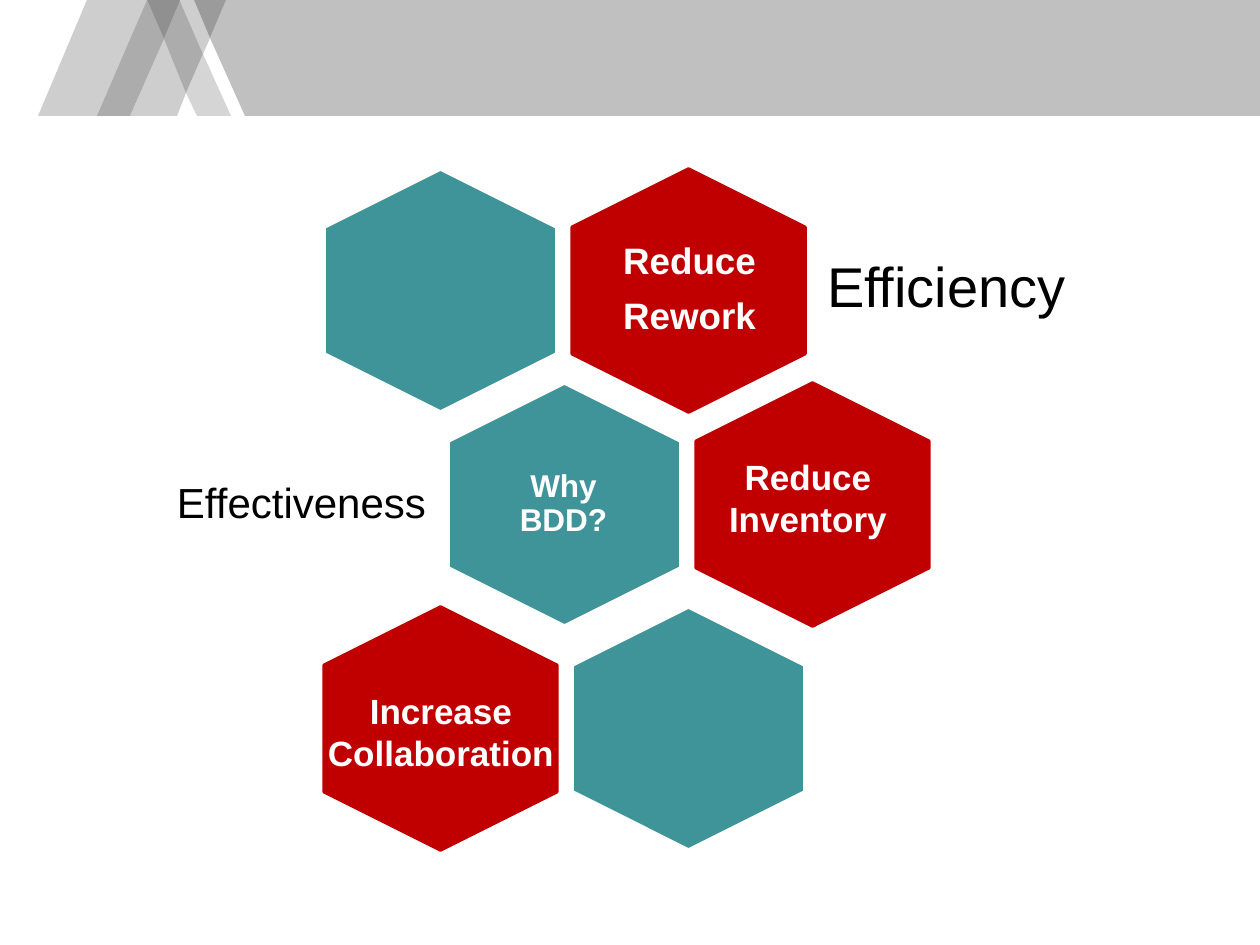
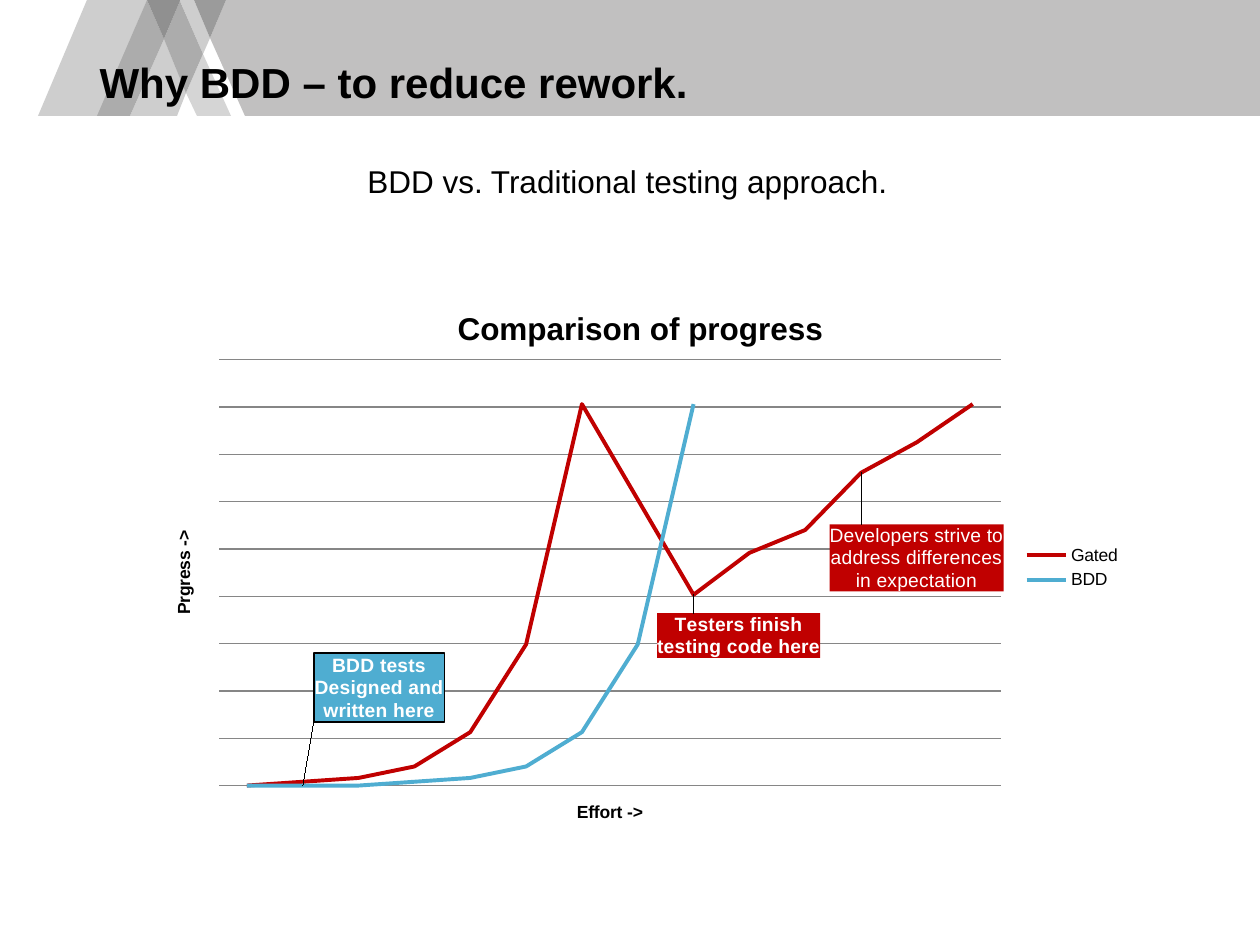
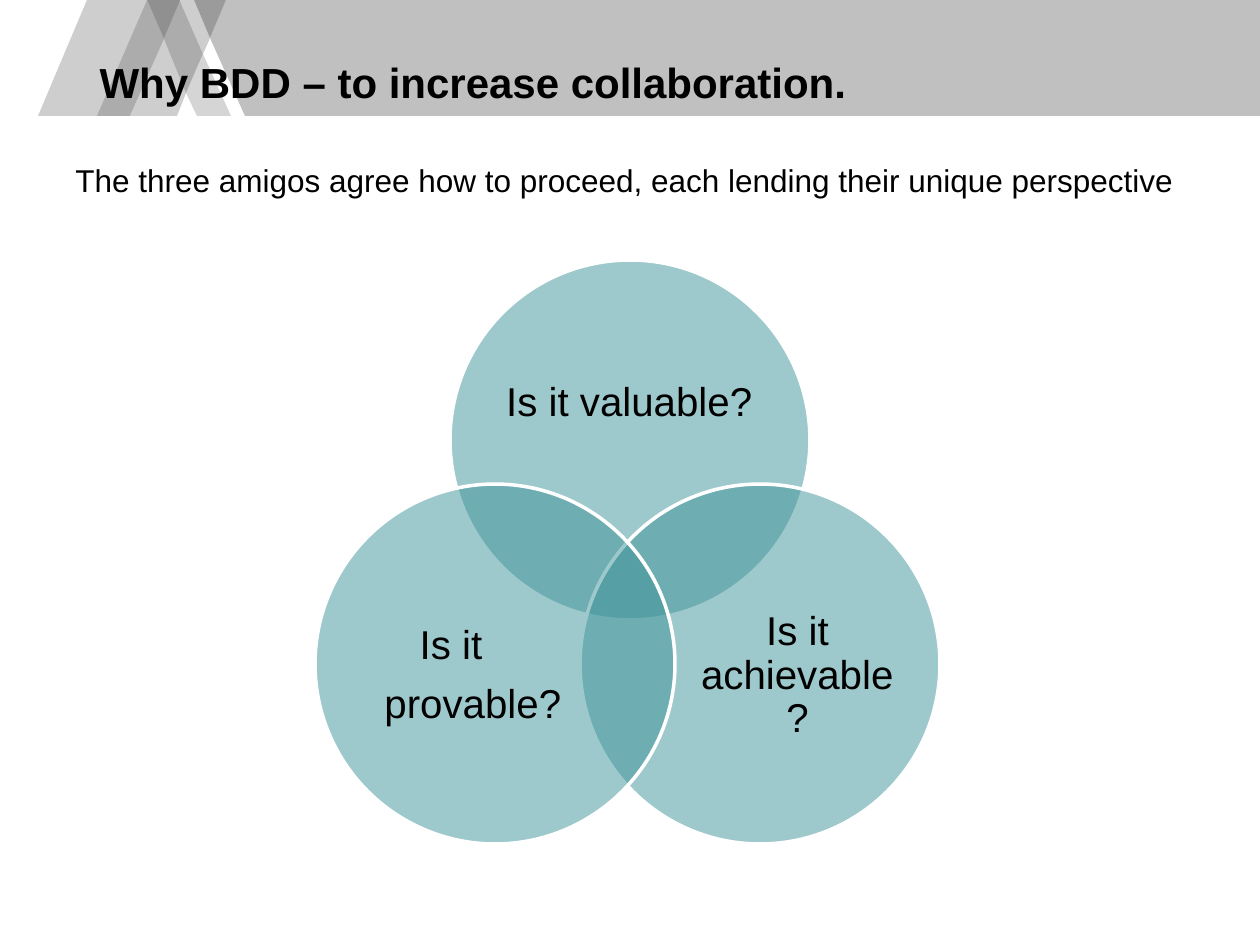
from pptx import Presentation
from pptx.chart.data import CategoryChartData
from pptx.dml.color import RGBColor
from pptx.enum.chart import XL_CHART_TYPE, XL_LABEL_POSITION, XL_LEGEND_POSITION
from pptx.enum.shapes import MSO_SHAPE
from pptx.enum.text import MSO_ANCHOR, PP_ALIGN
from pptx.oxml import parse_xml
from pptx.oxml.ns import nsdecls, qn
from pptx.util import Emu, Pt

SCALE = 914400 / 126
TEAL = RGBColor(0x3F, 0x94, 0x9A)
RED = RGBColor(0xC0, 0x00, 0x00)
BLUE = RGBColor(0x4F, 0xAD, 0xD1)
WHITE = RGBColor(0xFF, 0xFF, 0xFF)
BLACK = RGBColor(0x00, 0x00, 0x00)
GRID_GREY = RGBColor(0x86, 0x86, 0x86)
BAND_GREY = RGBColor(0xC1, 0xC0, 0xC0)
PALE = RGBColor(0xD5, 0xD5, 0xD5)
LIGHT = RGBColor(0xCE, 0xCE, 0xCE)
MID = RGBColor(0xAC, 0xAC, 0xAC)
DARK = RGBColor(0x9B, 0x9B, 0x9B)
DARKEST = RGBColor(0x90, 0x90, 0x90)

BAND = [
    (BAND_GREY, [(210, 38), (245, 116), (1260, 116), (1260, 0), (226, 0)]),
    (PALE, [(203, 54), (186, 93), (197, 116), (231, 116)]),
    (LIGHT, [(194, 0), (180, 0), (180, 1), (203, 54), (210, 38)]),
    (LIGHT, [(164, 39), (130, 116), (177, 116), (186, 93)]),
    (LIGHT, [(147, 0), (87, 0), (38, 116), (98, 116)]),
    (DARK, [(226, 0), (194, 0), (210, 38)]),
    (MID, [(180, 1), (164, 39), (186, 93), (203, 54)]),
    (MID, [(147, 0), (97, 116), (130, 116), (164, 39)]),
    (DARKEST, [(180, 0), (147, 0), (164, 39), (180, 1)]),
]


def px(*lengths):
    return [Emu(round(length * SCALE)) for length in lengths]


class Deck:
    """Holds the shared style and the slide being built."""

    font = "Arial"

    def __init__(self):
        self.prs = Presentation()
        self.prs.slide_width, self.prs.slide_height = px(1260, 945)
        self.slide = None

    def new_slide(self, title=None):
        layout = self.prs.slide_layouts[5 if title else 6]
        self.slide = self.prs.slides.add_slide(layout)
        if title:
            heading = self.slide.shapes.title
            heading.left, heading.top, heading.width, heading.height = px(87, 50, 1086, 183)
            self.fill_text(heading.text_frame, [title], 24, bold=True)

    def master_band(self):
        tree = self.prs.slide_master.shapes._spTree
        for order, (color, points) in enumerate(BAND):
            builder = self.slide.shapes.build_freeform(*points[0], scale=SCALE)
            builder.add_line_segments(points[1:], close=True)
            piece = builder.convert_to_shape()
            self.paint(piece, color)
            piece._element.nvSpPr.cNvPr.set("id", str(100 + order))
            tree.insert(2 + order, piece._element)

    def paint(self, shape, fill, line=None):
        shape.shadow.inherit = False
        shape.fill.solid()
        shape.fill.fore_color.rgb = fill
        if line is None:
            shape.line.fill.background()
        else:
            shape.line.color.rgb = line
            shape.line.width = Pt(2)

    def style(self, font, size, color=BLACK, bold=False):
        for key, value in {"name": self.font, "size": Pt(size), "bold": bold}.items():
            setattr(font, key, value)
        font.color.rgb = color

    def fill_text(self, frame, lines, size, color=BLACK, bold=False, align=PP_ALIGN.LEFT,
                  anchor=MSO_ANCHOR.TOP, inset=None, wrap=True, tight=False):
        frame.text = "\n".join(lines)
        frame.word_wrap = wrap
        frame.vertical_anchor = anchor
        if inset is not None:
            for side in ("left", "top", "right", "bottom"):
                setattr(frame, f"margin_{side}", px(inset)[0])
        for paragraph in frame.paragraphs:
            paragraph.alignment = align
            if tight:
                paragraph.line_spacing = 0.9
                paragraph.space_after = Pt(round(size * 0.4, 1))
            for run in paragraph.runs:
                self.style(run.font, size, color, bold)

    def text(self, box, lines, size, **options):
        frame = self.slide.shapes.add_textbox(*px(*box)).text_frame
        self.fill_text(frame, lines, size, **options)
        return frame

    def diagram_text(self, box, lines, size, **options):
        return self.text(box, lines, size, anchor=MSO_ANCHOR.MIDDLE, tight=True, **options)

    def hexagon(self, column, row_top, fill, line):
        cell = self.slide.shapes.add_shape(
            MSO_SHAPE.HEXAGON, *px(319 + 124 * column, row_top, 243, 233))
        cell.rotation = 90
        cell.adjustments[0] = 0.25
        self.paint(cell, fill, line)

    def circle(self, left, top):
        disc = self.slide.shapes.add_shape(MSO_SHAPE.OVAL, *px(left, top, 360, 360))
        self.paint(disc, TEAL, WHITE)
        color = disc._element.spPr.find(qn("a:solidFill"))[0]
        color.append(parse_xml(f'<a:alpha {nsdecls("a")} val="50000"/>'))

    def line_chart(self, box, title, axis_titles, categories, series):
        data = CategoryChartData()
        data.categories = categories
        for name, _, values in series:
            data.add_series(name, values)
        chart = self.slide.shapes.add_chart(XL_CHART_TYPE.LINE, *px(*box), data).chart
        self.style(chart.font, 10)
        chart.has_title = True
        self.fill_text(chart.chart_title.text_frame, [title], 18, bold=True,
                       align=PP_ALIGN.CENTER)
        chart.chart_title.include_in_layout = False
        chart.has_legend = True
        chart.legend.position = XL_LEGEND_POSITION.RIGHT
        chart.legend.include_in_layout = False
        self.style(chart.legend.font, 10)
        for axis, caption in zip((chart.category_axis, chart.value_axis), axis_titles):
            axis.visible = False
            self.fill_text(axis.axis_title.text_frame, [caption], 10, bold=True,
                           align=PP_ALIGN.CENTER)
        turned = chart.value_axis.axis_title.text_frame._txBody.bodyPr
        for key, value in {"rot": "-5400000", "vert": "horz"}.items():
            turned.set(key, value)
        scale = {"minimum_scale": 0, "maximum_scale": 111.6, "major_unit": 12.4,
                 "has_major_gridlines": True}
        for key, value in scale.items():
            setattr(chart.value_axis, key, value)
        grid = chart.value_axis.major_gridlines.format.line
        grid.color.rgb = GRID_GREY
        grid.width = Pt(0.75)
        plot = chart.plots[0]
        plot.vary_by_categories = False
        for curve, (_, color, _) in zip(plot.series, series):
            curve.smooth = False
            curve.format.line.color.rgb = color
            curve.format.line.width = Pt(2.25)
        self.place_plot(chart, 0.073, 0.134, 0.792, 0.751)
        return plot

    def place_plot(self, chart, x, y, w, h):
        area = chart._chartSpace.chart.plotArea
        for old in area.findall(qn("c:layout")):
            area.remove(old)
        area.insert(0, parse_xml(
            f'<c:layout {nsdecls("c")}><c:manualLayout><c:layoutTarget val="inner"/>'
            f'<c:xMode val="edge"/><c:yMode val="edge"/><c:x val="{x}"/><c:y val="{y}"/>'
            f'<c:w val="{w}"/><c:h val="{h}"/></c:manualLayout></c:layout>'))

    def callout(self, curve, point, lines, offset, fill, bold=True, border=""):
        label = curve.points[point].data_label
        self.fill_text(label.text_frame, lines, 11, WHITE, bold, PP_ALIGN.CENTER)
        label.position = XL_LABEL_POSITION.RIGHT
        element = label._dLbl
        element.find(qn("c:idx")).addnext(parse_xml(
            f'<c:layout {nsdecls("c")}><c:manualLayout><c:x val="{offset[0]}"/>'
            f'<c:y val="{offset[1]}"/></c:manualLayout></c:layout>'))
        element.find(qn("c:tx")).addnext(parse_xml(
            f'<c:spPr {nsdecls("c", "a")}><a:solidFill><a:srgbClr val="{fill}"/>'
            f'</a:solidFill>{border}</c:spPr>'))

    def leader_lines(self, curve):
        curve.data_labels.show_value = False
        c15 = "http://schemas.microsoft.com/office/drawing/2012/chart"
        curve.data_labels._element.append(parse_xml(
            f'<c:extLst {nsdecls("c")}><c:ext uri="{{CE6537A1-D6FC-4f65-9D91-7224C49458BB}}" '
            f'xmlns:c15="{c15}"><c15:showLeaderLines val="1"/></c:ext></c:extLst>'))


deck = Deck()

deck.new_slide()
deck.master_band()
for column, row_top, fill, line in [
    (2, 174, RED, RED), (0, 174, TEAL, WHITE), (1, 388, TEAL, WHITE),
    (3, 388, RED, RED), (2, 612, TEAL, WHITE), (0, 612, RED, RED),
]:
    deck.hexagon(column, row_top, fill, line)
on_cell = {"color": WHITE, "bold": True, "align": PP_ALIGN.CENTER}
deck.diagram_text((611, 208, 157, 164), ["Reduce", "Rework"], 21, inset=11, **on_cell)
deck.diagram_text((811, 210, 296, 159), ["Efficiency"], 32, inset=16)
deck.diagram_text((485, 422, 157, 164), ["Why BDD?"], 18, inset=9, **on_cell)
deck.diagram_text((154, 425, 285, 159), ["Effectiveness"], 24, inset=13, align=PP_ALIGN.RIGHT)
deck.text((315, 683, 252, 97), ["Increase Collaboration"], 20, **on_cell)
deck.text((694, 449, 228, 97), ["Reduce Inventory"], 20, **on_cell)

deck.new_slide("Why BDD – to reduce rework.")
deck.text((355, 156, 551, 50), ["BDD vs. Traditional testing approach."], 18, wrap=False)
progress = deck.line_chart(
    (147, 284, 987, 567), "Comparison of progress", ("Effort ->", "Prgress ->"),
    [str(step) for step in range(1, 15)],
    [("Gated", RED, [0, 1, 2, 5, 14, 37, 100, 75, 50, 61, 67, 82, 90, 100]),
     ("BDD", BLUE, [0, 0, 0, 1, 2, 5, 14, 37, 100] + [None] * 5)])
gated, bdd = progress.series
deck.callout(gated, 8, ["Testers finish testing code here"], (-0.042, 0.072), RED)
deck.callout(gated, 11, ["Developers strive to address differences in expectation"],
             (-0.037, 0.15), RED, bold=False)
deck.callout(bdd, 1, ["BDD tests", "Designed and written here"], (0.006, -0.173), BLUE,
             border='<a:ln w="12700"><a:solidFill><a:srgbClr val="000000"/></a:solidFill></a:ln>')
for curve in (gated, bdd):
    deck.leader_lines(curve)

deck.new_slide("Why BDD – to increase collaboration.")
deck.text((63, 155, 1134, 50),
          ["The three amigos agree how to proceed, each lending their unique perspective"],
          18, wrap=False)
for corner, box, question in [
    ((450, 260), (498, 323, 263, 161), ["Is it valuable?"]),
    ((580, 484), (690, 577, 215, 198), ["Is it achievable?"]),
    ((315, 484), (331, 577, 240, 198), ["Is it", "provable?"]),
]:
    deck.circle(*corner)
    answer = deck.diagram_text(box, question, 23, inset=0, align=PP_ALIGN.CENTER)
answer.paragraphs[1]._p.get_or_add_pPr().set("marL", str(px(44)[0]))

deck.prs.save("out.pptx")
